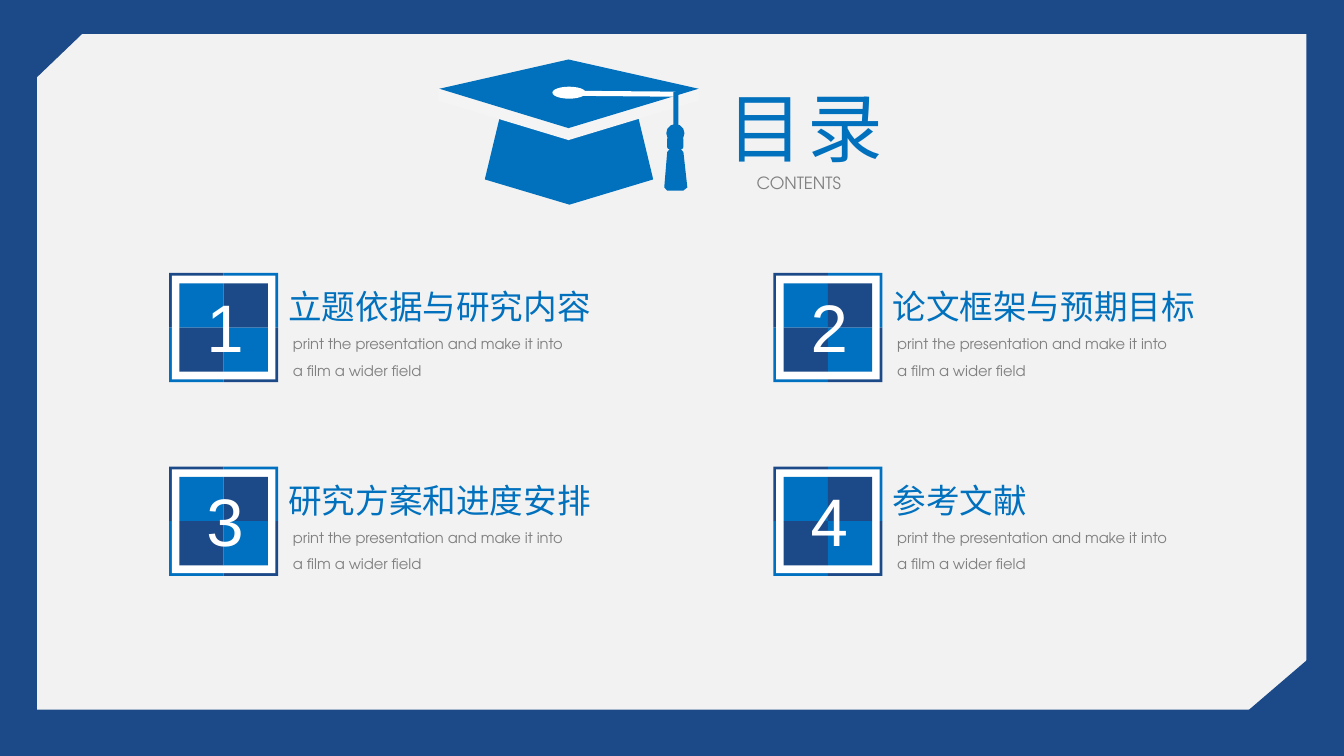
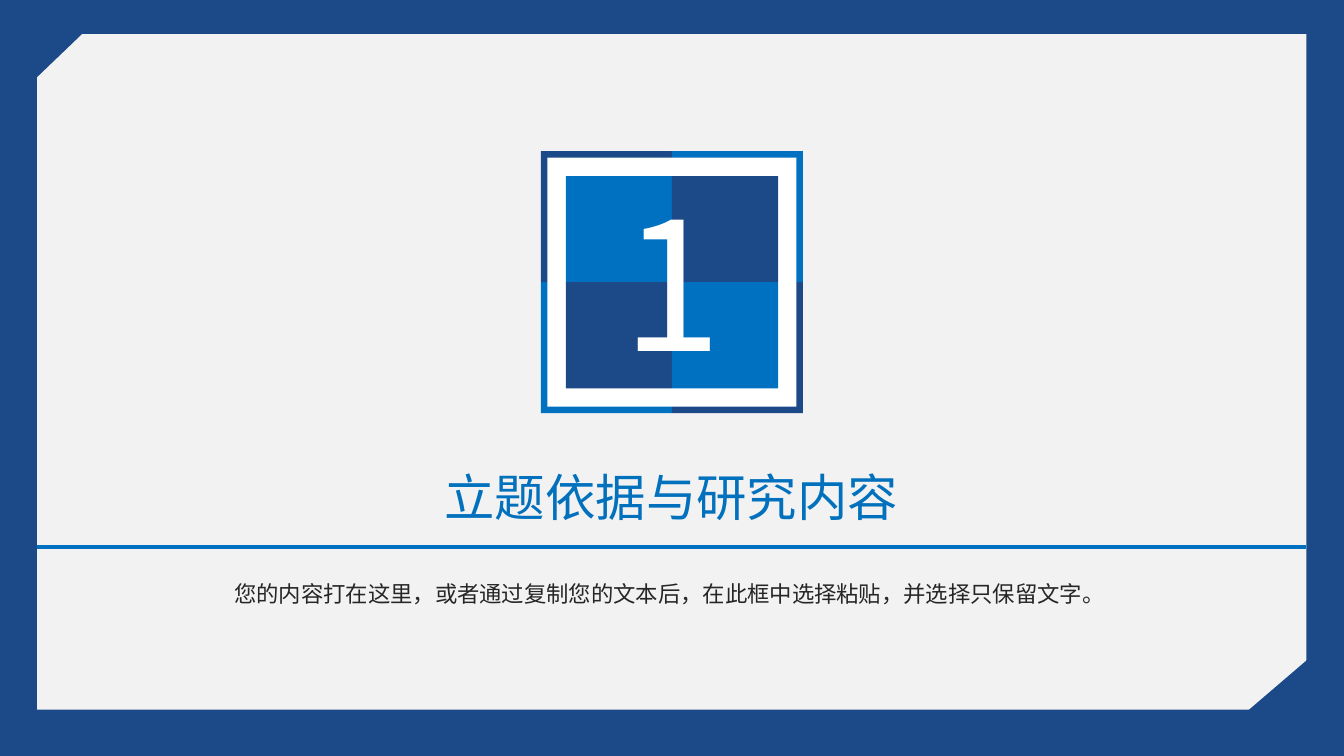
from lxml import etree
from pptx import Presentation
from pptx.dml.color import RGBColor
from pptx.enum.shapes import MSO_CONNECTOR, MSO_SHAPE
from pptx.enum.text import MSO_ANCHOR, MSO_AUTO_SIZE, PP_ALIGN
from pptx.oxml.ns import qn
from pptx.util import Pt

RECTANGLE = MSO_SHAPE.RECTANGLE
ROUNDED = MSO_SHAPE.ROUNDED_RECTANGLE
OVAL = MSO_SHAPE.OVAL
STRAIGHT = MSO_CONNECTOR.STRAIGHT
TOP = MSO_ANCHOR.TOP
GROW = MSO_AUTO_SIZE.SHAPE_TO_FIT_TEXT
LEFT, CENTER = PP_ALIGN.LEFT, PP_ALIGN.CENTER

NAVY, BLUE, TITLE_BLUE = "1C4987", "0070C0", "0170BD"
WHITE, PAPER, RIM, GRAY, INK = "FFFFFF", "F2F2F2", "F4F4F4", "808080", "262626"
CHINESE, LATIN, DIGIT = "Noto Sans CJK SC", "TeX Gyre Adventor", "Arial"

CAPTION = "print the presentation and make it into a film a wider field"
CHAPTERS = ["立题依据与研究内容", "论文框架与预期目标", "研究方案和进度安排", "参考文献"]
CHAPTER_TEXT = "您的内容打在这里，或者通过复制您的文本后，在此框中选择粘贴，并选择只保留文字。"


def color(value):
    return RGBColor.from_string(value)


def line_height(size):
    return 1.21 * size + 7.2


def paint(shape, fill, line=None):
    shape.shadow.inherit = False
    shape.fill.solid()
    shape.fill.fore_color.rgb = color(fill)
    if line:
        shape.line.color.rgb = color(line)
        shape.line.width = Pt(1)
    else:
        shape.line.fill.background()
    return shape


def add_block(shapes, kind, box, fill, line=None):
    return paint(shapes.add_shape(kind, *map(Pt, box)), fill, line)


def add_outline(shapes, left, top, points, fill):
    corners = [(Pt(left + x), Pt(top + y)) for x, y in points]
    builder = shapes.build_freeform(*corners[0], scale=1.0)
    builder.add_line_segments(corners[1:], close=True)
    return paint(builder.convert_to_shape(), fill)


def write_text(box, text, font, size, fill, align=CENTER, wrap=True, spacing=None, **paragraph):
    frame = box.text_frame
    for name, value in {"word_wrap": wrap, "auto_size": GROW, "vertical_anchor": TOP}.items():
        setattr(frame, name, value)
    para = frame.paragraphs[0]
    for name, value in {"alignment": align, **paragraph}.items():
        setattr(para, name, value)
    span = para.add_run()
    span.text = text
    for name, value in {"name": font, "size": Pt(size)}.items():
        setattr(span.font, name, value)
    span.font.color.rgb = color(fill)
    for properties in box.element.iter(qn("a:rPr")):
        etree.SubElement(properties, qn("a:ea"), typeface=font)
        if spacing:
            properties.set("spc", str(spacing * 100))


def add_text(shapes, box, *content, **formats):
    write_text(shapes.add_textbox(*map(Pt, box)), *content, **formats)


def set_title(page, left, top, width, text, size, **formats):
    title = page.shapes.title
    place = {"left": left, "top": top, "width": width, "height": line_height(size)}
    for name, value in place.items():
        setattr(title, name, Pt(value))
    write_text(title, text, CHINESE, size, TITLE_BLUE, **formats)


def add_frame(deck, page):
    master = deck.slide_master
    master.background.fill.solid()
    master.background.fill.fore_color.rgb = color(NAVY)
    paper = add_block(page.shapes, RECTANGLE, (26.6, 24.5, 906.5, 482.4), PAPER)
    parts = [paper]
    for box, angle in [((-8.6, -29.5, 57.6, 100.1), 46.2), ((901.4, 455.8, 61.2, 115.9), 49.4)]:
        corner = add_block(page.shapes, RECTANGLE, box, NAVY, NAVY)
        corner.rotation = angle
        parts.append(corner)
    for index, part in enumerate(parts):
        part.element.nvSpPr.cNvPr.id = 20 + index
        master.shapes.element.insert(2 + index, part.element)


def add_checker(shapes, left, top, size, first, second):
    half = size / 2
    for row in range(2):
        for column in range(2):
            fill = first if row == column else second
            box = (left + column * half, top + row * half, half, half)
            add_block(shapes, RECTANGLE, box, fill)


def add_badge(page, left, top, size, number, font, font_size):
    shapes = page.shapes.add_group_shape().shapes
    border, inset = 0.025 * size, 0.095 * size
    add_checker(shapes, left, top, size, NAVY, BLUE)
    inner = size - 2 * border
    add_block(shapes, RECTANGLE, (left + border, top + border, inner, inner), WHITE)
    add_checker(shapes, left + inset, top + inset, size - 2 * inset, BLUE, NAVY)
    height = line_height(font_size)
    box = (left + size / 4, top + (size - height) / 2 - 1, size / 2, height)
    add_text(shapes, box, str(number), font, font_size, WHITE, wrap=False)


def add_cap(page, left, top):
    shapes = page.shapes.add_group_shape().shapes
    body = [(153.4, 85.7), (93.6, 103.7), (33.1, 85.7), (45.4, 34.6), (141.1, 34.6)]
    rim = [(185.8, 20.9), (92.9, 0), (0, 20.9), (0, 29.5), (92.9, 57.6), (185.8, 29.5)]
    board = [(92.9, 49), (0.7, 20.9), (92.9, 0), (185.8, 20.9)]
    cord = [(90.7, 22.3), (169.2, 23), (170.6, 25.2), (167.8, 26.6), (90.7, 25.9), (89.3, 23.8)]
    tassel = [(177.8, 91.4), (175, 93.6), (163.4, 93.6), (161.3, 91.4),
              (163.4, 66.2), (165.6, 63.4), (172.8, 63.4), (175, 66.2)]
    outlines = [(body, TITLE_BLUE), (rim, RIM), (board, TITLE_BLUE),
                (cord, WHITE), (tassel, TITLE_BLUE)]
    for points, fill in outlines:
        add_outline(shapes, left, top, points, fill)
    blocks = [
        (ROUNDED, (167.8, 23, 3.6, 27.4), TITLE_BLUE),
        (OVAL, (162.7, 46.1, 13, 13), TITLE_BLUE),
        (ROUNDED, (163.4, 55.4, 11.5, 8.6), TITLE_BLUE),
        (OVAL, (81.4, 19.4, 23.8, 8.6), WHITE),
    ]
    for kind, (x, y, width, height), fill in blocks:
        add_block(shapes, kind, (left + x, top + y, width, height), fill)


def add_entry(page, left, top, number, heading):
    size = 78
    add_badge(page, left, top, size, number, DIGIT, 48)
    add_text(page.shapes, (left + size, top + 5.8, 237, line_height(24)),
             heading, CHINESE, 24, TITLE_BLUE, align=LEFT)
    add_text(page.shapes, (left + size + 3.4, top + 34.6, 214, 43),
             CAPTION, LATIN, 10.5, GRAY, align=LEFT, line_spacing=1.5)


def build_contents(page):
    set_title(page, 503.3, 54, 144, "目录", 54, spacing=3)
    add_cap(page, 313.2, 42.5)
    add_text(page.shapes, (528.5, 113, 84.2, 26.6), "CONTENTS", LATIN, 12, GRAY, line_spacing=1.5)
    for index, heading in enumerate(CHAPTERS):
        row, column = divmod(index, 2)
        add_entry(page, 120.8 + 431.6 * column, 195 + 138.3 * row, index + 1, heading)


def build_chapter(page, number, heading, text):
    size = 187.2
    add_badge(page, 480 - size / 2, 108, size, number, CHINESE, 128)
    set_title(page, 190.8, 329, 577.4, heading, 36)
    rule = page.shapes.add_connector(STRAIGHT, Pt(26.2), Pt(391), Pt(933.1), Pt(391))
    rule.line.color.rgb = color(BLUE)
    rule.line.width = Pt(3)
    etree.SubElement(rule.element.spPr, qn("a:effectLst"))
    add_text(page.shapes, (146.2, 401, 664.6, 33.1), text, CHINESE, 16, INK,
             line_spacing=1.5, space_before=Pt(3.2))


def main():
    deck = Presentation()
    deck.slide_width, deck.slide_height = Pt(960), Pt(540)
    title_only = deck.slide_layouts[5]
    contents, chapter = [deck.slides.add_slide(title_only) for _ in range(2)]
    add_frame(deck, contents)
    build_contents(contents)
    build_chapter(chapter, 1, CHAPTERS[0], CHAPTER_TEXT)
    deck.save("out.pptx")


main()
